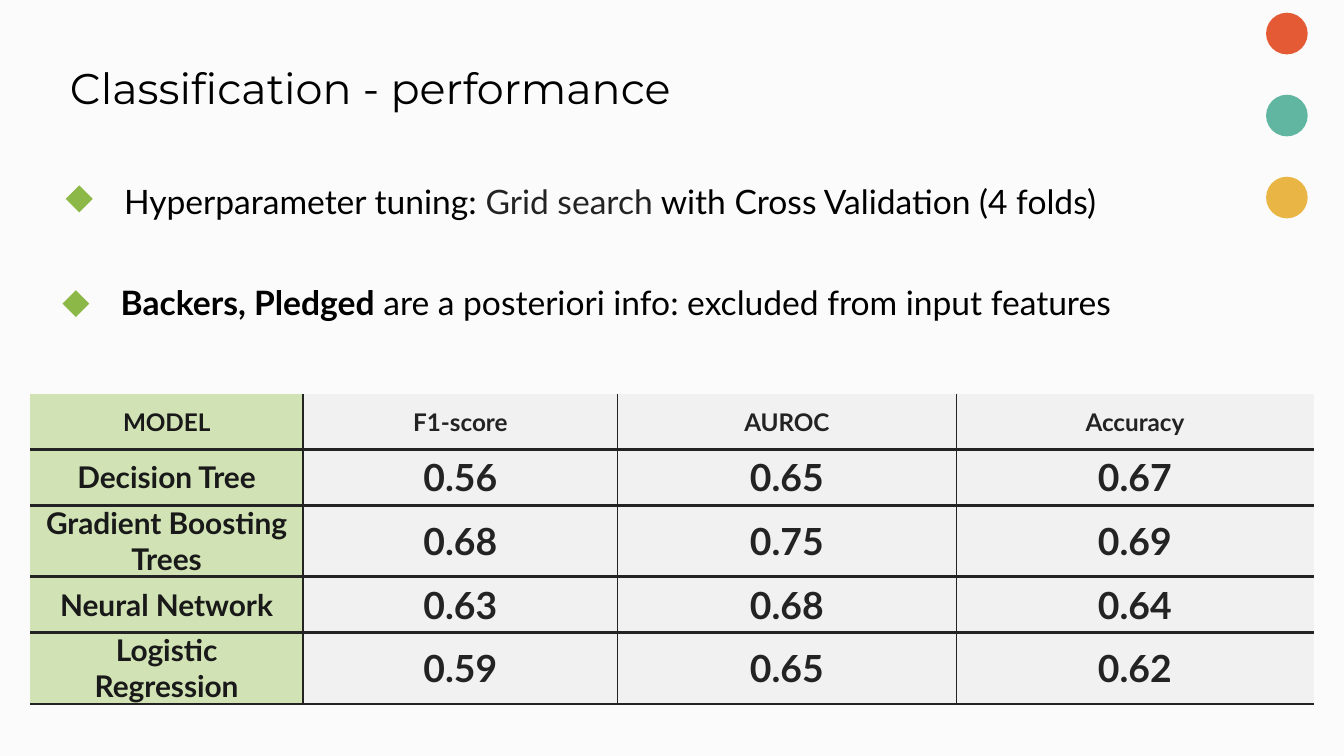
import lxml.etree
import pptx
import pptx.util
import pptx.dml.color
import pptx.enum.shapes
import pptx.enum.text
import pptx.oxml.ns
from dataclasses import dataclass

Shape = pptx.enum.shapes.MSO_SHAPE
Align = pptx.enum.text.PP_ALIGN
Anchor = pptx.enum.text.MSO_ANCHOR


@dataclass(frozen=True)
class Theme:
    head: str = "Montserrat"
    body: str = "Lato"
    back: str = "FBFBFB"
    black: str = "000000"
    ink: str = "232323"
    label: str = "191919"
    green: str = "D1E3B5"
    grey: str = "F1F1F1"
    mark: str = "8CB847"
    dots: tuple = ("E45A35", "61B6A1", "E9B545")
    title: int = 23
    text: int = 18
    top: int = 13
    model: int = 16
    score: int = 20
    thin: float = 0.75
    thick: float = 1.5


THEME = Theme()

# A 16:9 slide on a grid of 100 columns by 56.25 rows
WIDE = pptx.util.Inches(10)
TALL = WIDE * 9 // 16
COL, ROW = WIDE / 100, TALL / 56.25

WIDTHS = (20.3, 23.4, 25.2, 26.6)
DATA = (
    ("MODEL", "F1-score", "AUROC", "Accuracy"),
    ("Decision Tree", "0.56", "0.65", "0.67"),
    ("Gradient Boosting Trees", "0.68", "0.75", "0.69"),
    ("Neural Network", "0.63", "0.68", "0.64"),
    ("Logistic Regression", "0.59", "0.65", "0.62"),
)


def place(x, y, w, h):
    return round(x * COL), round(y * ROW), round(w * COL), round(h * ROW)


def shade(fill, hue):
    fill.solid()
    fill.fore_color.rgb = pptx.dml.color.RGBColor.from_string(hue)


def style(run, face, size, hue, bold=False):
    font = run.font
    font.name, font.size, font.bold = face, pptx.util.Pt(size), bold
    font.color.rgb = pptx.dml.color.RGBColor.from_string(hue)


def add_title(slide, text, box):
    title = slide.shapes.title
    title.left, title.top, title.width, title.height = place(*box)
    frame = title.text_frame
    frame.text = text
    frame.auto_size = pptx.enum.text.MSO_AUTO_SIZE.NONE
    frame.vertical_anchor = Anchor.TOP
    para = frame.paragraphs[0]
    para.alignment = Align.LEFT
    style(para.runs[0], THEME.head, THEME.title, THEME.black)


def add_mark(slide, kind, box, hue):
    mark = slide.shapes.add_shape(kind, *place(*box))
    mark.shadow.inherit = False
    shade(mark.fill, hue)
    mark.line.fill.background()


def add_point(slide, parts, box, spot):
    """Add a line of (text, hue, bold) parts with a diamond before it."""
    add_mark(slide, Shape.DIAMOND, (*spot, 2, 2), THEME.mark)
    frame = slide.shapes.add_textbox(*place(*box)).text_frame
    frame.word_wrap = True
    for text, hue, bold in parts:
        run = frame.paragraphs[0].add_run()
        run.text = text
        style(run, THEME.body, THEME.text, hue, bold)


def add_edges(cell, sides):
    """Set cell borders; a width of 0 hides the side."""
    props = cell._tc.get_or_add_tcPr()
    tag = pptx.oxml.ns.qn
    for spot, (side, width) in enumerate(sides.items()):
        line = lxml.etree.Element(tag(f"a:ln{side}"))
        props.insert(spot, line)
        if width:
            line.set("w", str(int(pptx.util.Pt(width))))
            fill = lxml.etree.SubElement(line, tag("a:solidFill"))
            lxml.etree.SubElement(fill, tag("a:srgbClr"), val=THEME.ink)
        else:
            lxml.etree.SubElement(line, tag("a:noFill"))


def fill_cell(cell, text, row, col):
    cell.text_frame.text = text
    cell.vertical_anchor = Anchor.MIDDLE
    cell.margin_left = cell.margin_right = pptx.util.Inches(0.11)
    cell.margin_top = cell.margin_bottom = 0
    para = cell.text_frame.paragraphs[0]
    para.alignment = Align.CENTER
    size = THEME.top if row == 0 else THEME.score if col else THEME.model
    hue = THEME.ink if col else THEME.label
    style(para.runs[0], THEME.body, size, hue, True)
    shade(cell.fill, THEME.grey if col else THEME.green)
    add_edges(cell, {
        "L": THEME.thin if col else 0,
        "R": THEME.thin if col < len(WIDTHS) - 1 else 0,
        "T": THEME.thick if row else 0,
        "B": THEME.thick,
    })


def add_scores(slide, x, y, high):
    box = place(x, y, sum(WIDTHS), high * len(DATA))
    table = slide.shapes.add_table(len(DATA), len(WIDTHS), *box).table
    table.first_row = table.horz_banding = False
    for col, width in zip(table.columns, WIDTHS):
        col.width = round(width * COL)
    for r, line in enumerate(DATA):
        table.rows[r].height = round(high * ROW)
        for c, text in enumerate(line):
            fill_cell(table.cell(r, c), text, r, c)


def main():
    deck = pptx.Presentation()
    deck.slide_width, deck.slide_height = WIDE, TALL
    slide = deck.slides.add_slide(deck.slide_layouts[5])
    shade(slide.background.fill, THEME.back)

    # Title and scores
    add_title(slide, "Classification - performance", (4.2, 4.1, 70.3, 4.9))
    add_scores(slide, 2.25, 29.3, 4.15)

    # Key points
    add_point(slide, (
        ("Hyperparameter tuning: ", THEME.black, False),
        ("Grid search", THEME.ink, False),
        (" with Cross Validation (4 folds)", THEME.black, False),
    ), (8.25, 13, 84.7, 4), (4.9, 13.8))
    add_point(slide, (
        ("Backers, Pledged", THEME.black, True),
        (" are a posteriori info: excluded from input features",
         THEME.black, False),
    ), (8, 20.5, 89.1, 4), (4.65, 21.6))

    # Corner dots
    for step, hue in enumerate(THEME.dots):
        add_mark(slide, Shape.OVAL, (94.2, 0.95 + 6.1 * step, 3.1, 3.1), hue)

    deck.save("out.pptx")


if __name__ == "__main__":
    main()
